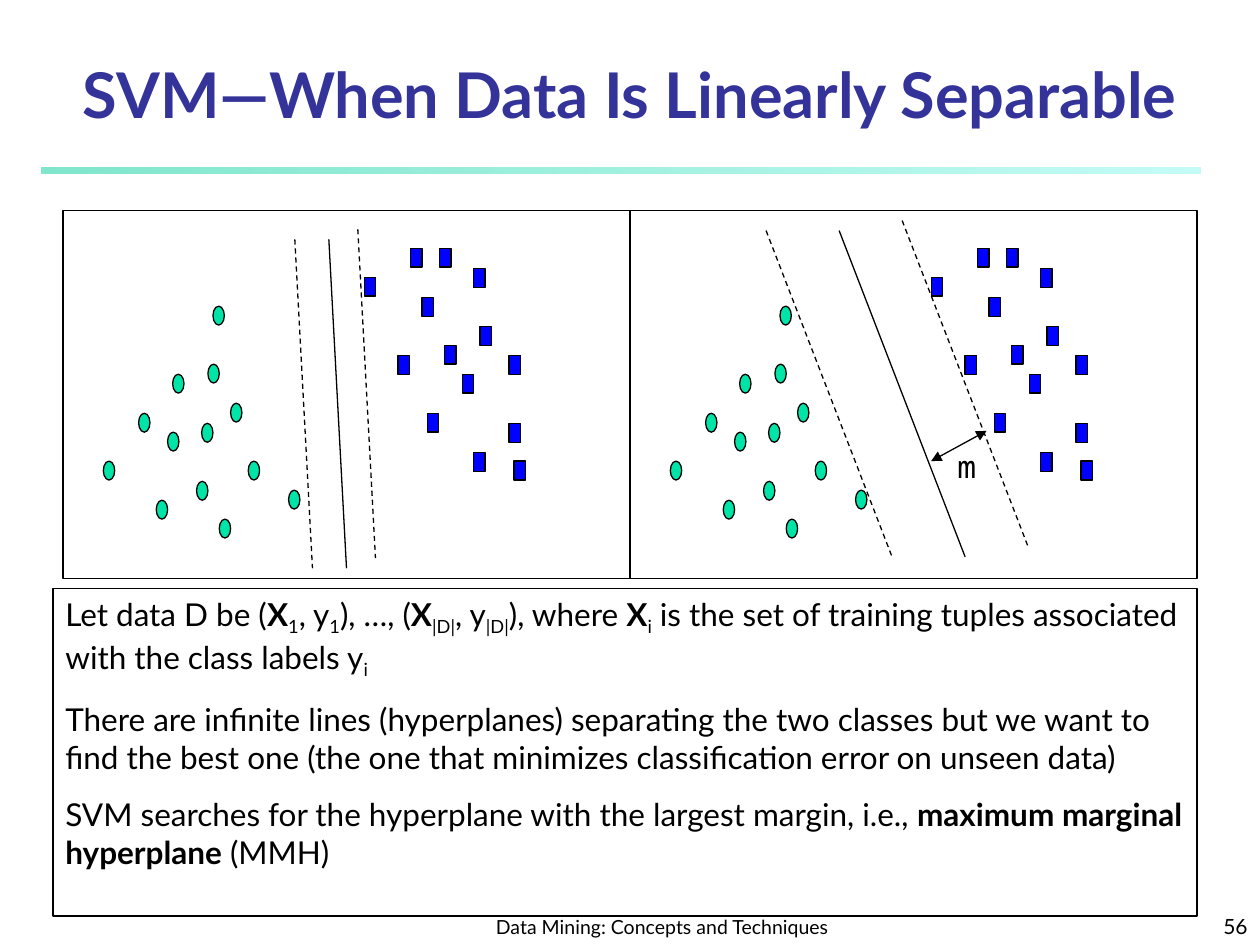
from lxml import etree
from pptx import Presentation
from pptx import util as u
from pptx.dml.color import RGBColor
from pptx.enum import dml, shapes, text
from pptx.oxml.ns import qn

COLORS = {"title": "333399", "ink": "000000", "circle": "00E4A8", "square": "0000FF",
          "rule_start": "00CE98", "rule_end": "8FF9EF"}
TITLE = "SVM—When Data Is Linearly Separable"
FOOTER = "Data Mining: Concepts and Techniques"
NUMBER = "56"
BODY = [
    [("Let data D be (", ""), ("X", "bold"), ("1", "sub"), (", y", ""), ("1", "sub"),
     ("), …, (", ""), ("X", "bold"), ("|D|", "sub"), (", y", ""), ("|D|", "sub"),
     ("), where ", ""), ("X", "bold"), ("i", "sub"),
     (" is the set of training tuples associated with the class labels y", ""), ("i", "sub")],
    [("There are infinite lines (hyperplanes) separating the two classes but we want to "
      "find the best one (the one that minimizes classification error on unseen data)", "")],
    [("SVM searches for the hyperplane with the largest margin, i.e., ", ""),
     ("maximum marginal hyperplane", "bold"), (" (MMH)", "")],
]
CIRCLES = [(0.74, 2.3), (0.83, 1.76), (0.32, 1.99), (0.6, 1.61), (1.06, 2.15), (0.87, 1.3),
           (1.1, 1.69), (1.15, 1.22), (1.33, 1.53), (1.47, 1.99), (1.24, 2.45),
           (1.79, 2.22), (1.19, 0.76)]
SQUARES = [(2.66, 1.15), (2.39, 0.53), (2.76, 0.3), (2.89, 1.61), (2.85, 0.69), (3.03, 1.07),
           (2.99, 0.3), (3.26, 0.46), (3.17, 1.3), (3.31, 0.92), (3.26, 1.92), (3.54, 1.15),
           (3.54, 1.69), (3.58, 1.99)]
PANEL_TOP, PANEL_W, PANEL_H = 1.67, 4.5, 2.92
MARK_W, MARK_H = 0.09, 0.15
PANELS = [
    {"left": 0.5, "run": (0.14, 2.61),
     "lines": [(2.34, 0.15, True), (1.84, 0.23, True), (2.11, 0.23, False)]},
    {"left": 5, "run": (1, 2.59),
     "lines": [(1.08, 0.16, True), (2.16, 0.08, True), (1.66, 0.16, False)]},
]


def rgb(name):
    return RGBColor.from_string(COLORS[name])


def set_all(obj, values):
    for name, value in values.items():
        setattr(obj, name, value)


def add_run(p, content, size, font="Lato", color="ink", style=""):
    r = p.add_run()
    r.text = content
    set_all(r.font, {"name": font, "size": u.Pt(size), "bold": style == "bold"})
    r.font.color.rgb = rgb(color)
    if style == "sub":
        r.font._element.set("baseline", "-25000")


def add_shape(owner, kind, left, top, width, height, fill=None):
    sp = owner.add_shape(kind, *map(u.Inches, (left, top, width, height)))
    sp.shadow.inherit = False
    if fill:
        sp.fill.solid()
        sp.fill.fore_color.rgb = rgb(fill)
    else:
        sp.fill.background()
    sp.line.color.rgb = rgb("ink")
    sp.line.width = u.Pt(0.75)
    return sp


def add_line(owner, x1, y1, x2, y2, dashed=False, arrows=False):
    line = owner.add_connector(shapes.MSO_CONNECTOR.STRAIGHT, *map(u.Inches, (x1, y1, x2, y2)))
    line.line.color.rgb = rgb("ink")
    line.line.width = u.Pt(0.75)
    if dashed:
        line.line.dash_style = dml.MSO_LINE.DASH
    if arrows:
        for tag in ("a:headEnd", "a:tailEnd"):
            etree.SubElement(line.line._get_or_add_ln(), qn(tag), type="triangle")
    etree.SubElement(line._element.spPr, qn("a:effectLst"))


def add_label(slide, box, content, size, align, anchor, font="Lato"):
    sp = slide.shapes.add_textbox(*map(u.Inches, box))
    set_all(sp.text_frame, {"word_wrap": True, "vertical_anchor": anchor})
    p = sp.text_frame.paragraphs[0]
    p.alignment = align
    add_run(p, content, size, font)


def add_rule(slide):
    sp = add_shape(slide.shapes, shapes.MSO_SHAPE.RECTANGLE, 0.33, 1.33, 9.2, 0.05)
    sp.line.fill.background()
    sp.fill.gradient()
    sp.fill.gradient_angle = 0
    stops = zip(sp.fill.gradient_stops, ("rule_start", "rule_end"), (0, 1), ("50000", "52000"))
    for stop, name, position, alpha in stops:
        stop.color.rgb = rgb(name)
        stop.position = position
    for color, alpha in zip(sp._element.spPr.iter(qn("a:srgbClr")), ("50000", "52000")):
        etree.SubElement(color, qn("a:alpha"), val=alpha)


def add_panel(slide, panel):
    group = slide.shapes.add_group_shape().shapes
    left = panel["left"]
    marks = ((shapes.MSO_SHAPE.OVAL, "circle", CIRCLES),
             (shapes.MSO_SHAPE.RECTANGLE, "square", SQUARES))
    for kind, fill, points in marks:
        for x, y in points:
            add_shape(group, kind, left + x, PANEL_TOP + y, MARK_W, MARK_H, fill)
    add_shape(group, shapes.MSO_SHAPE.RECTANGLE, left, PANEL_TOP, PANEL_W, PANEL_H)
    dx, dy = panel["run"]
    for x, y, dashed in panel["lines"]:
        x1, y1 = left + x, PANEL_TOP + y
        add_line(group, x1, y1, x1 + dx, y1 + dy, dashed)


def add_body(slide):
    sp = add_shape(slide.shapes, shapes.MSO_SHAPE.RECTANGLE, 0.42, 4.67, 9.08, 2.6)
    tf = sp.text_frame
    set_all(tf, {"word_wrap": True, "vertical_anchor": text.MSO_ANCHOR.TOP})
    for i, runs in enumerate(BODY):
        p = tf.add_paragraph() if i else tf.paragraphs[0]
        set_all(p, {"alignment": text.PP_ALIGN.LEFT, "space_before": u.Pt(11.2 if i else 0)})
        for content, style in runs:
            add_run(p, content, 18, style=style)


def main():
    prs = Presentation()
    set_all(prs, {"slide_width": u.Inches(10), "slide_height": u.Inches(7.5)})
    slide = prs.slides.add_slide(prs.slide_layouts[5])
    add_rule(slide)
    align, anchor = text.PP_ALIGN, text.MSO_ANCHOR
    add_label(slide, (3.67, 7.08, 3.17, 0.42), FOOTER, 11.1, align.CENTER, anchor.BOTTOM)
    add_label(slide, (7.92, 7.08, 2.08, 0.42), NUMBER, 12, align.RIGHT, anchor.BOTTOM)

    title = slide.shapes.title
    set_all(title, {"left": 0, "top": u.Inches(0.42),
                    "width": u.Inches(10), "height": u.Inches(0.67)})
    set_all(title.text_frame, {"word_wrap": True, "vertical_anchor": anchor.BOTTOM,
                               "auto_size": text.MSO_AUTO_SIZE.NONE})
    p = title.text_frame.paragraphs[0]
    p.alignment = align.CENTER
    add_run(p, TITLE, 36, color="title", style="bold")

    for panel in PANELS:
        add_panel(slide, panel)
    add_line(slide.shapes, 7.39, 3.66, 7.83, 3.42, arrows=True)
    add_label(slide, (7.5, 3.5, 0.58, 0.4), "m", 18, align.LEFT, anchor.TOP, "Noto Sans Mono")
    add_body(slide)
    prs.save("out.pptx")


if __name__ == "__main__":
    main()
